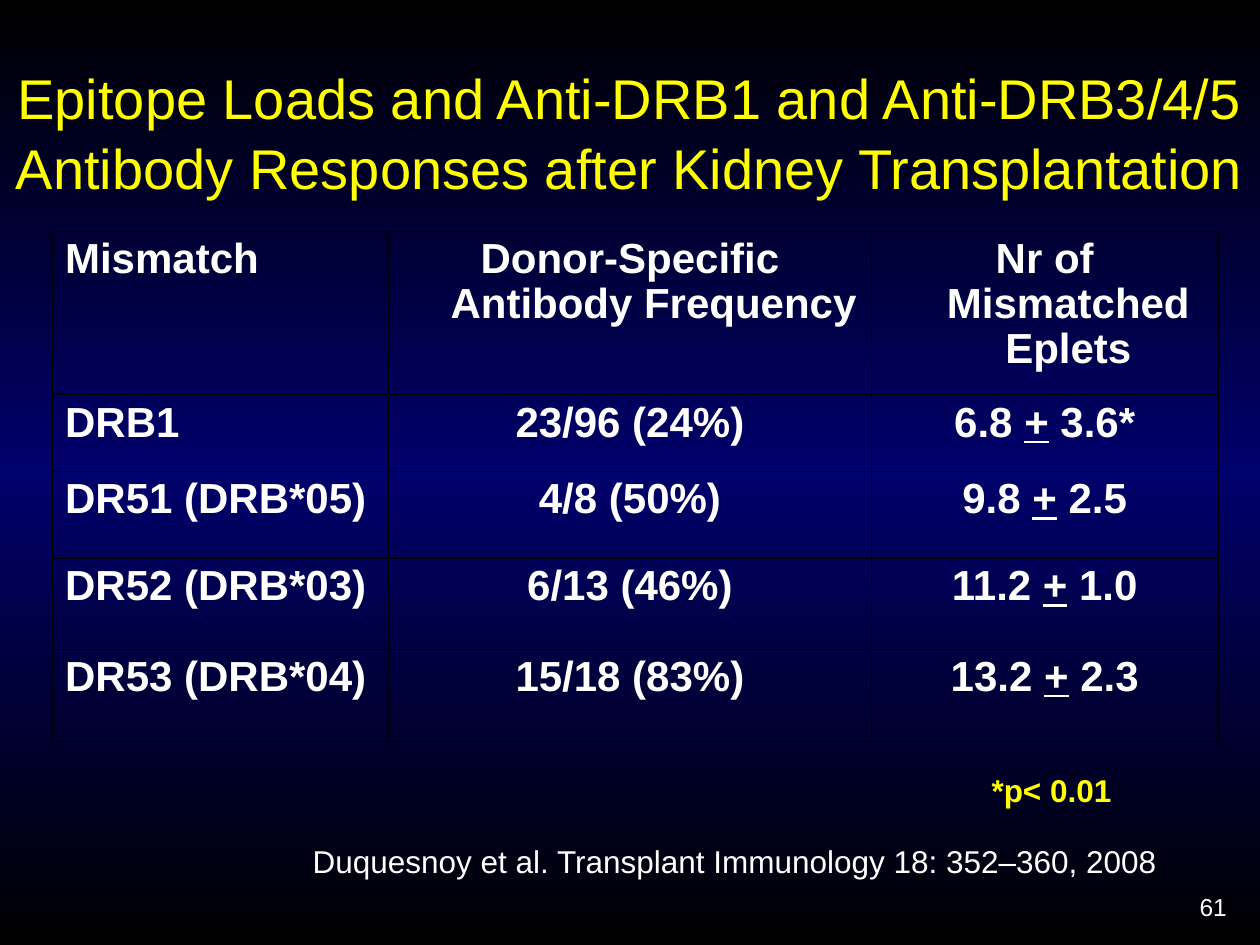
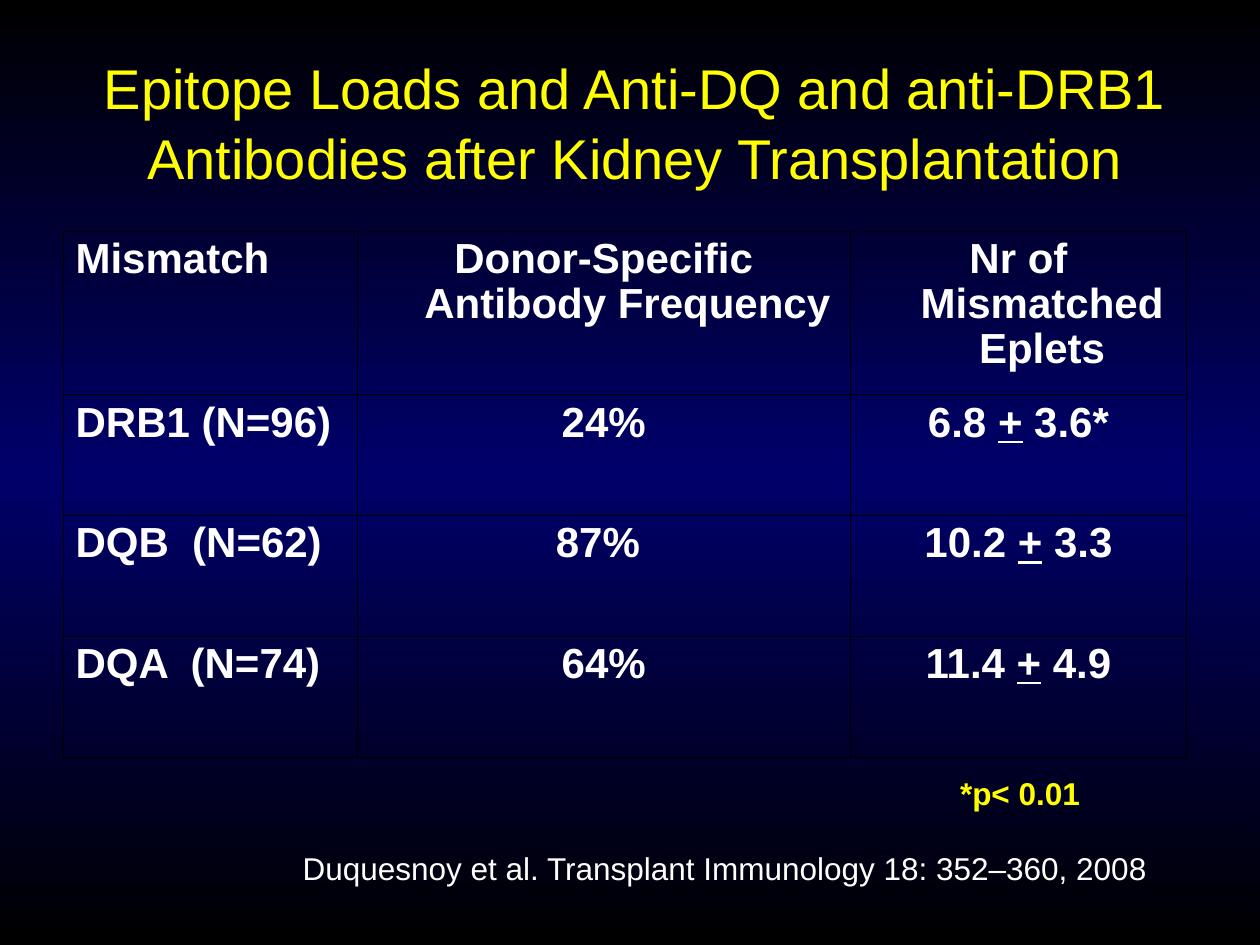
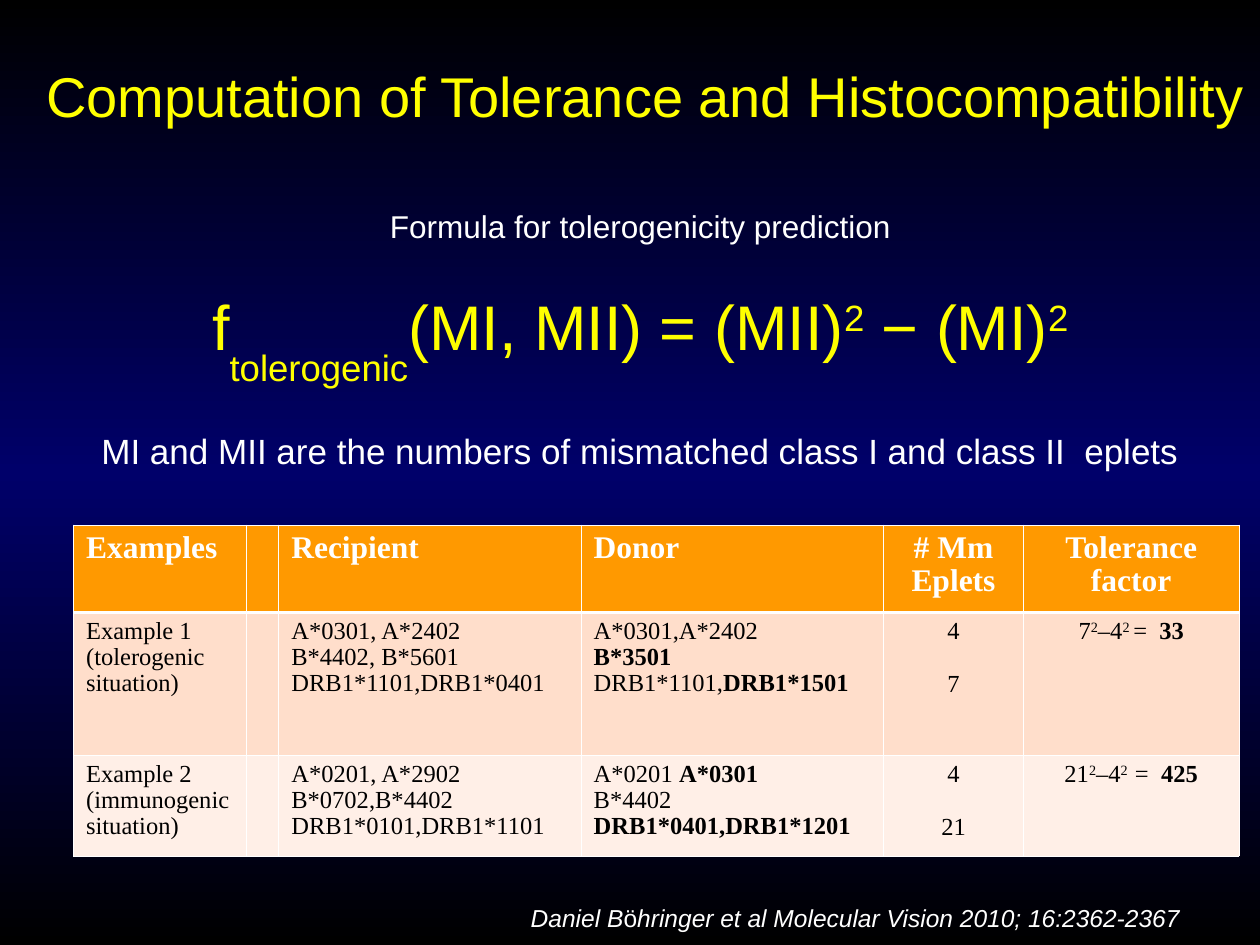
from lxml import etree
from pptx import Presentation
from pptx.dml.color import RGBColor
from pptx.enum.text import MSO_ANCHOR, MSO_AUTO_SIZE, PP_ALIGN
from pptx.oxml.ns import qn
from pptx.util import Pt

LEFT, CENTER = PP_ALIGN.LEFT, PP_ALIGN.CENTER
TOP, MIDDLE = MSO_ANCHOR.TOP, MSO_ANCHOR.MIDDLE
NO_AUTOFIT = MSO_AUTO_SIZE.NONE

COLORS = {
    "black": "000000", "navy": "00006A", "white": "FFFFFF", "yellow": "FFFF00",
    "orange": "FF9900", "peach": "FFDECB", "cream": "FFEFE7",
}
SANS, SERIF = "Arial", "Times New Roman"
TEXT_SPACING, TABLE_SPACING = 1.04, 0.96
HANGING = 27
BOLD, SUPER = {"bold": True}, {"baseline": 30000}


def write(frame, paragraphs, base, align=LEFT, spacing=TEXT_SPACING, gap=0, hanging=0):
    """Fill a text frame; a paragraph is a string or a list of strings and (text, format) pairs."""
    for index, runs in enumerate(paragraphs):
        paragraph = frame.paragraphs[0] if index == 0 else frame.add_paragraph()
        paragraph.alignment = align
        paragraph.line_spacing = spacing
        paragraph.space_before = Pt(gap if index else 0)
        if hanging:
            properties = paragraph._p.get_or_add_pPr()
            properties.set("marL", str(Pt(hanging)))
            properties.set("indent", str(-Pt(hanging)))
        for part in [runs] if isinstance(runs, str) else runs:
            text, changes = (part, {}) if isinstance(part, str) else part
            formats = {**base, **changes}
            color, baseline = formats.pop("color"), formats.pop("baseline", None)
            run = paragraph.add_run()
            run.text = text
            for attribute, value in formats.items():
                setattr(run.font, attribute, value)
            run.font.color.rgb = RGBColor.from_string(COLORS[color])
            if baseline:
                run._r.get_or_add_rPr().set("baseline", str(baseline))


def add_grid(slide, left, top, widths, heights, line, fills=None, header_rule=0.45):
    """Add a table with thin borders; header_rule is the line width below the first row."""
    table = slide.shapes.add_table(
        len(heights), len(widths), Pt(left), Pt(top), Pt(sum(widths)), Pt(sum(heights))).table
    table.first_row = table.horz_banding = False
    for column, width in zip(table.columns, widths):
        column.width = Pt(width)
    for index, (row, height) in enumerate(zip(table.rows, heights)):
        row.height = Pt(height)
        rules = {"L": 0.45, "R": 0.45, "T": header_rule if index == 1 else 0.45,
                 "B": header_rule if index == 0 else 0.45}
        for cell in row.cells:
            for side, weight in rules.items():
                border = etree.SubElement(
                    cell._tc.get_or_add_tcPr(), qn(f"a:ln{side}"), w=str(Pt(weight)))
                solid = etree.SubElement(border, qn("a:solidFill"))
                etree.SubElement(solid, qn("a:srgbClr"), val=COLORS[line])
            if fills:
                cell.fill.solid()
                cell.fill.fore_color.rgb = RGBColor.from_string(COLORS[fills[index]])
            else:
                cell.fill.background()
    return table


prs = Presentation()
prs.slide_width, prs.slide_height = Pt(720), Pt(540)

# Shared background: black to navy and back, top to bottom
background = prs.slide_master.background.fill
background.gradient()
background.gradient_angle = 270
stops = prs.slide_master.background._cSld.find(f".//{qn('a:gsLst')}")
for stop in list(stops):
    stops.remove(stop)
for position, color in ((0, "black"), (50000, "navy"), (100000, "black")):
    stop = etree.SubElement(stops, qn("a:gs"), pos=str(position))
    etree.SubElement(stop, qn("a:srgbClr"), val=COLORS[color])

# Titles
TITLES = [
    ("Epitope Loads and Anti-DRB1 and Anti-DRB3/4/5 Antibody Responses after Kidney Transplantation",
     (0, 30, 720, 90), MIDDLE),
    ("Epitope Loads and Anti-DQ and anti-DRB1 Antibodies after Kidney Transplantation",
     (42, 24, 642, 90), MIDDLE),
    ("Computation of Tolerance and Histocompatibility", (18, 33.6, 702, 80.4), TOP),
]
title_format = {"name": SANS, "size": Pt(32), "color": "yellow"}
slides = []
for heading, box, anchor in TITLES:
    slide = prs.slides.add_slide(prs.slide_layouts[5])
    slides.append(slide)
    title = slide.shapes.title
    title.left, title.top, title.width, title.height = map(Pt, box)
    frame = title.text_frame
    frame.auto_size, frame.vertical_anchor, frame.word_wrap = NO_AUTOFIT, anchor, True
    frame.margin_left = frame.margin_right = frame.margin_top = frame.margin_bottom = 0
    write(frame, [heading], title_format, CENTER)
drb_slide, dq_slide, tolerance_slide = slides

# Antibody frequency tables
HEADER = ("Mismatch", "Donor-Specific Antibody Frequency", "Nr of Mismatched Eplets")
FREQUENCY_TABLES = [
    (drb_slide, 30, (192, 276, 198), (93.6, 43.9, 49.7, 51.8, 52.6), [
        ("DRB1", "23/96 (24%)", "6.8", "3.6*"),
        ("DR51 (DRB*05)", "4/8 (50%)", "9.8", "2.5"),
        ("DR52 (DRB*03)", "6/13 (46%)", "11.2", "1.0"),
        ("DR53 (DRB*04)", "15/18 (83%)", "13.2", "2.3"),
    ]),
    (dq_slide, 36, (168, 282, 192), (93.6, 69, 69, 69), [
        ("DRB1 (N=96)", "24%", "6.8", "3.6*"),
        ("DQB  (N=62)", "87% ", "10.2", "3.3"),
        ("DQA  (N=74)", "64%", "11.4", "4.9"),
    ]),
]
frequency_format = {"name": SANS, "size": Pt(24), "color": "white", "bold": True}
for slide, left, widths, heights, results in FREQUENCY_TABLES:
    table = add_grid(slide, left, 132, widths, heights, "black")
    rows = [HEADER] + [
        (mismatch, frequency, [f"{mean} ", ("+", {"underline": True}), f" {deviation}"])
        for mismatch, frequency, mean, deviation in results]
    for row, contents in zip(table.rows, rows):
        for cell, content, align in zip(row.cells, contents, (LEFT, CENTER, CENTER)):
            write(cell.text_frame, [content], frequency_format, align, TABLE_SPACING,
                  hanging=HANGING)

# Tolerance examples
EXAMPLES = [
    (["Examples"], [], ["Recipient"], ["Donor"], ["# Mm Eplets"], ["Tolerance", "factor"]),
    (["Example 1 (tolerogenic situation)"], [],
     ["A*0301, A*2402", "B*4402, B*5601", "DRB1*1101,DRB1*0401"],
     ["A*0301,A*2402", [("B*3501", BOLD)], ["DRB1*1101,", ("DRB1*1501", BOLD)]],
     ["4", "7"],
     [["7", ("2", SUPER), "–4", ("2 ", SUPER), "=  ", ("33", BOLD)]]),
    (["Example 2 (immunogenic situation)"], [],
     ["A*0201, A*2902", "B*0702,B*4402", "DRB1*0101,DRB1*1101"],
     [["A*0201 ", ("A*0301", BOLD)], "B*4402", [("DRB1*0401,DRB1*1201", BOLD)]],
     ["4", "21"],
     [["21", ("2", SUPER), "–4", ("2  ", SUPER), "=  ", ("425", BOLD)]]),
]
EPLET_COLUMN = 4
header_format = {"name": SERIF, "size": Pt(18), "color": "white", "bold": True}
example_format = {"name": SERIF, "size": Pt(14), "color": "black", "bold": False}
examples = add_grid(tolerance_slide, 42, 300, (98.6, 18.7, 172.8, 172.8, 80, 123.1),
                    (50, 81.8, 57.4), "white", ("orange", "peach", "cream"), 1.47)
for row_index, contents in enumerate(EXAMPLES):
    for column, paragraphs in enumerate(contents):
        write(examples.cell(row_index, column).text_frame, paragraphs,
              example_format if row_index else header_format,
              CENTER if column >= EPLET_COLUMN else LEFT, TABLE_SPACING,
              gap=15.5 if row_index and column == EPLET_COLUMN else 0)

# Formula, footnotes and citations
FORMULA = [
    "Formula for tolerogenicity prediction",
    [(text, {"size": Pt(36), "color": "yellow", "baseline": baseline}) for text, baseline in (
        ("f", None), ("tolerogenic", -50000), ("(MI, MII) = (MII)", None), ("2", 30000),
        (" − (MI)", None), ("2", 30000))],
    [("MI and MII are the numbers of mismatched class I and class II  eplets", {"size": Pt(20)})],
]
SIGNIFICANCE = ["*p< 0.01"]
CITATION = ["Duquesnoy et al. Transplant Immunology 18: 352–360, 2008"]
VISION_CITATION = [["Daniel B", ("ö", {"italic": False}),
                    "hringer et al Molecular Vision 2010; 16:2362-2367"]]
plain = {"name": SANS, "size": Pt(18), "color": "white"}
significance_format = {**plain, "color": "yellow", "bold": True}
small = {**plain, "size": Pt(14)}

narrow = {"word_wrap": False, "vertical_anchor": MIDDLE}
TEXTS = [
    (drb_slide, (558, 436.3, 85.7, 28.8), SIGNIFICANCE, significance_format, narrow),
    (drb_slide, (171.4, 476.6, 542.9, 28.8), CITATION, plain,
     {"margin_left": 0, "margin_right": Pt(46)}),
    (drb_slide, (678.2, 505.4, 30.2, 24.5), ["61"], small, {"word_wrap": False}),
    (dq_slide, (540, 438.5, 85.7, 28.8), SIGNIFICANCE, significance_format, narrow),
    (dq_slide, (164.2, 481, 509.8, 50.4), CITATION, plain,
     {"margin_left": 0, "margin_right": Pt(10)}),
    (tolerance_slide, (48, 113.8, 635.8, 154), FORMULA, plain, {}),
    (tolerance_slide, (270, 511.9, 437.8, 41), VISION_CITATION, {**small, "italic": True}, {}),
]
for slide, box, paragraphs, base, frame_format in TEXTS:
    frame = slide.shapes.add_textbox(*map(Pt, box)).text_frame
    for attribute, value in {"word_wrap": True, **frame_format}.items():
        setattr(frame, attribute, value)
    write(frame, paragraphs, base, CENTER, gap=22)

prs.save("out.pptx")
